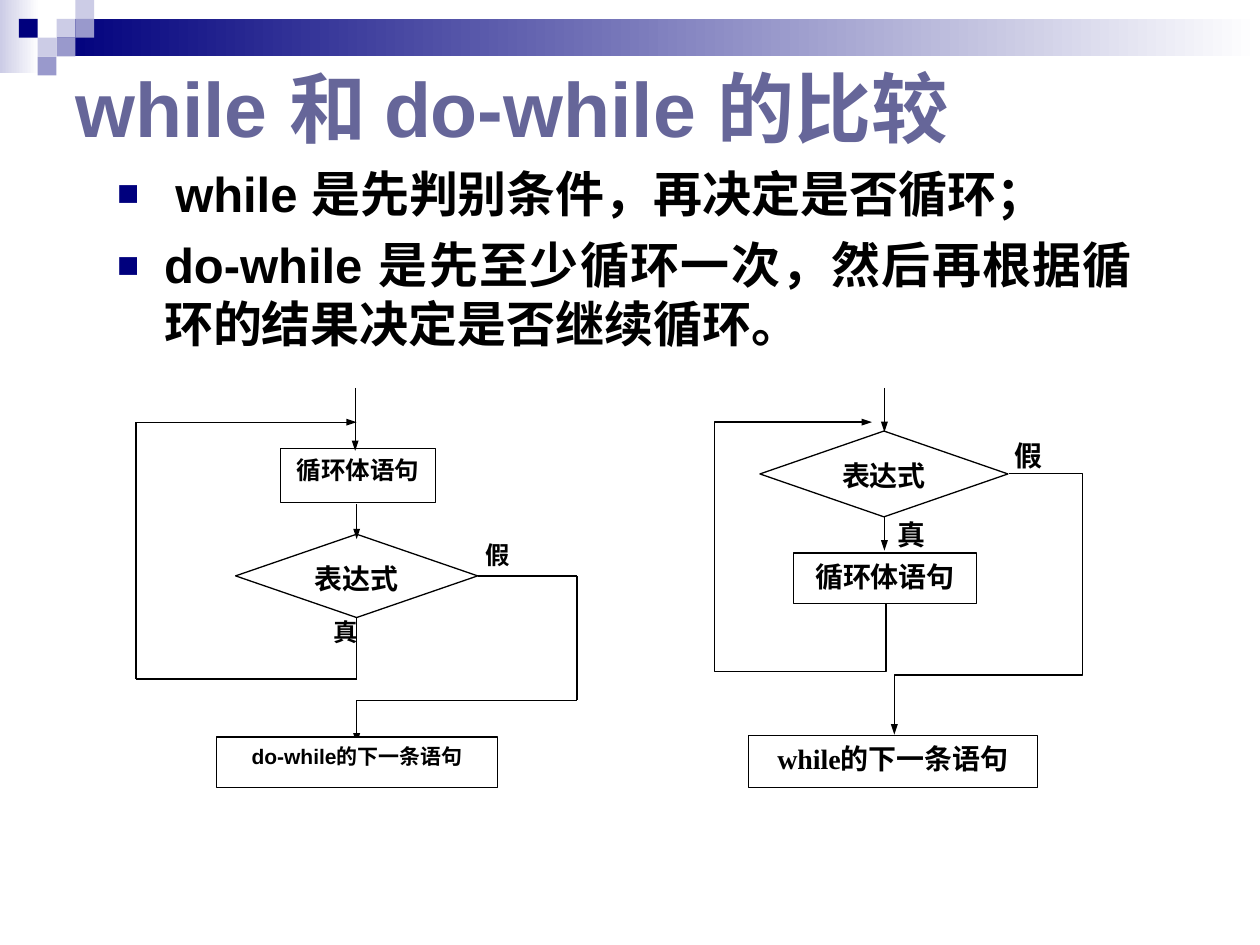
"""Build a slide comparing the while and do-while loops with two flowcharts."""
from itertools import pairwise

from lxml.etree import SubElement
from pptx import Presentation
from pptx.dml.color import RGBColor
from pptx.enum.shapes import MSO_CONNECTOR, MSO_SHAPE
from pptx.enum.text import MSO_ANCHOR, PP_ALIGN
from pptx.oxml.ns import qn
from pptx.util import Cm, Pt

COLORS = {"navy": "00007D", "lilac": "9999CC", "pale": "CCCCE6",
          "title": "666699", "black": "000000", "white": "FFFFFF"}
CJK = "Noto Sans CJK SC"

BARS = [("pale", (0, 0, 0.79, 1.47)), ("navy", (1.14, 0.38, 24.26, 0.76))]
TILE = 0.38
TILES = [("pale", 3, 1), ("pale", 4, 0), ("lilac", 4, 1), ("pale", 2, 2),
         ("navy", 1, 1), ("lilac", 3, 2), ("lilac", 2, 3)]

TITLE = "while 和 do-while 的比较"
BULLETS = [
    [(" ", CJK), ("while ", "Arial"), ("是先判别条件，再决定是否循环；", CJK)],
    [("do-while ", "Arial"),
     ("是先至少循环一次，然后再根据循环的结果决定是否继续循环。", CJK)],
]

FLOWS = [
    {"font": "Arial",
     "boxes": [
         ("label", "真", 14, (6.38, 12.32, 1.17, 1.09)),
         ("label", "假", 14, (9.22, 10.77, 1.63, 1.09)),
         ("decision", "表达式", 16, (4.75, 10.77, 4.88, 1.68)),
         ("step", "循环体语句", 14, (5.66, 9.04, 3.12, 1.09))],
     "arrows": [[(7.19, 10.16), (7.19, 10.87)],
                [(7.16, 7.82), (7.16, 9.09)],
                [(7.19, 12.45), (7.19, 13.69), (2.74, 13.69), (2.74, 8.51), (7.19, 8.51)],
                [(9.63, 11.61), (11.63, 11.61), (11.63, 14.12), (7.19, 14.12), (7.19, 14.99)]],
     "routes": [],
     "next": ("step", "do-while的下一条语句", 12, (4.37, 14.86, 5.66, 1.02))},
    {"font": "Times New Roman",
     "boxes": [
         ("label", "真", 16, (16.89, 10.31, 2.97, 1.04)),
         ("label", "假", 16, (19.48, 8.71, 2.51, 1.04)),
         ("decision", "表达式", 16, (15.32, 8.69, 5, 1.73)),
         ("step", "循环体语句", 16, (16, 11.15, 3.68, 1.02))],
     "arrows": [[(17.83, 10.41), (17.83, 11.1)],
                [(17.83, 7.82), (17.83, 8.71)]],
     "routes": [[(20.35, 9.55), (21.82, 9.55), (21.82, 13.61), (18.03, 13.61), (18.03, 14.81)],
                [(17.86, 12.17), (17.86, 13.54), (14.4, 13.54), (14.4, 8.51), (17.58, 8.51)]],
     "next": ("step", "while的下一条语句", 16, (15.09, 14.83, 5.82, 1.04))},
]


def rgb(name):
    return RGBColor.from_string(COLORS[name])


def cm(values):
    return [Cm(v) for v in values]


def write(p, text, size=16, font="Arial", color="black"):
    r = p.add_run()
    r.text = text
    r.font.size, r.font.bold, r.font.name = Pt(size), True, font
    r.font.color.rgb = rgb(color)
    SubElement(r.font._element, qn("a:ea"), typeface=CJK)


def add_block(s, kind, box, fill):
    sp = s.shapes.add_shape(kind, *cm(box))
    sp.shadow.inherit = False
    sp.line.fill.background()
    sp.fill.solid()
    sp.fill.fore_color.rgb = rgb(fill)
    return sp


def add_header(s):
    for color, box in BARS:
        sp = add_block(s, MSO_SHAPE.RECTANGLE, box, color)
        sp.fill.gradient()
        sp.fill.gradient_angle = 0
        for stop, name in zip(sp.fill.gradient_stops, (color, "white")):
            stop.color.rgb = rgb(name)
    for color, col, row in TILES:
        add_block(s, MSO_SHAPE.RECTANGLE, (col * TILE, row * TILE, TILE, TILE), color)


def add_frame(s, box):
    tf = s.shapes.add_textbox(*cm(box)).text_frame
    tf.word_wrap = True
    return tf


def set_bullet(p):
    pPr = p._p.get_or_add_pPr()
    pPr.set("marL", str(Cm(0.95)))
    pPr.set("indent", str(-Cm(0.95)))
    clr = SubElement(pPr, qn("a:buClr"))
    SubElement(clr, qn("a:srgbClr"), val=COLORS["navy"])
    SubElement(pPr, qn("a:buSzPct"), val="75000")
    SubElement(pPr, qn("a:buFont"), typeface="Arial")
    SubElement(pPr, qn("a:buChar"), char="■")


def add_texts(s):
    tf = add_frame(s, (2.11, 3.18, 20.96, 4.45))
    for i, runs in enumerate(BULLETS):
        p = tf.add_paragraph() if i else tf.paragraphs[0]
        set_bullet(p)
        p.alignment = PP_ALIGN.JUSTIFY
        p.space_before = Pt(7 if i else 0)
        for text, font in runs:
            write(p, text, size=28, font=font)
    tf = add_frame(s, (1.27, 1.27, 19.63, 1.78))
    tf.vertical_anchor = MSO_ANCHOR.MIDDLE
    write(tf.paragraphs[0], TITLE, size=44, color="title")


def add_box(s, font, role, text, size, box):
    kind = MSO_SHAPE.FLOWCHART_DECISION if role == "decision" else MSO_SHAPE.RECTANGLE
    sp = add_block(s, kind, box, "white")
    if role != "label":
        set_line(sp)
    tf = sp.text_frame
    tf.vertical_anchor = MSO_ANCHOR.TOP
    tf.paragraphs[0].alignment = PP_ALIGN.CENTER
    write(tf.paragraphs[0], text, size=size, font=font)


def set_line(sp, arrow=False):
    sp.line.color.rgb = rgb("black")
    sp.line.width = Pt(0.75)
    if arrow:
        SubElement(sp.line._get_or_add_ln(), qn("a:tailEnd"),
                   type="triangle", w="sm", len="med")


def add_arrow(s, points):
    for start, end in pairwise(points):
        sp = s.shapes.add_connector(MSO_CONNECTOR.STRAIGHT, *cm(start + end))
        set_line(sp, arrow=end == points[-1])
        SubElement(sp._element.spPr, qn("a:effectLst"))


def add_route(s, points):
    start, *rest = [cm(pt) for pt in points]
    fb = s.shapes.build_freeform(*start)
    fb.add_line_segments(rest, close=False)
    sp = fb.convert_to_shape()
    sp.shadow.inherit = False
    sp.fill.background()
    set_line(sp, arrow=True)


def add_flow(s, flow):
    for box in flow["boxes"]:
        add_box(s, flow["font"], *box)
    for points in flow["arrows"]:
        add_arrow(s, points)
    add_box(s, flow["font"], *flow["next"])
    for points in flow["routes"]:
        add_route(s, points)


def main():
    prs = Presentation()
    prs.slide_width, prs.slide_height = Cm(25.4), Cm(19.05)
    s = prs.slides.add_slide(prs.slide_layouts[6])
    add_header(s)
    add_texts(s)
    for flow in FLOWS:
        add_flow(s, flow)
    prs.save("out.pptx")


if __name__ == "__main__":
    main()
